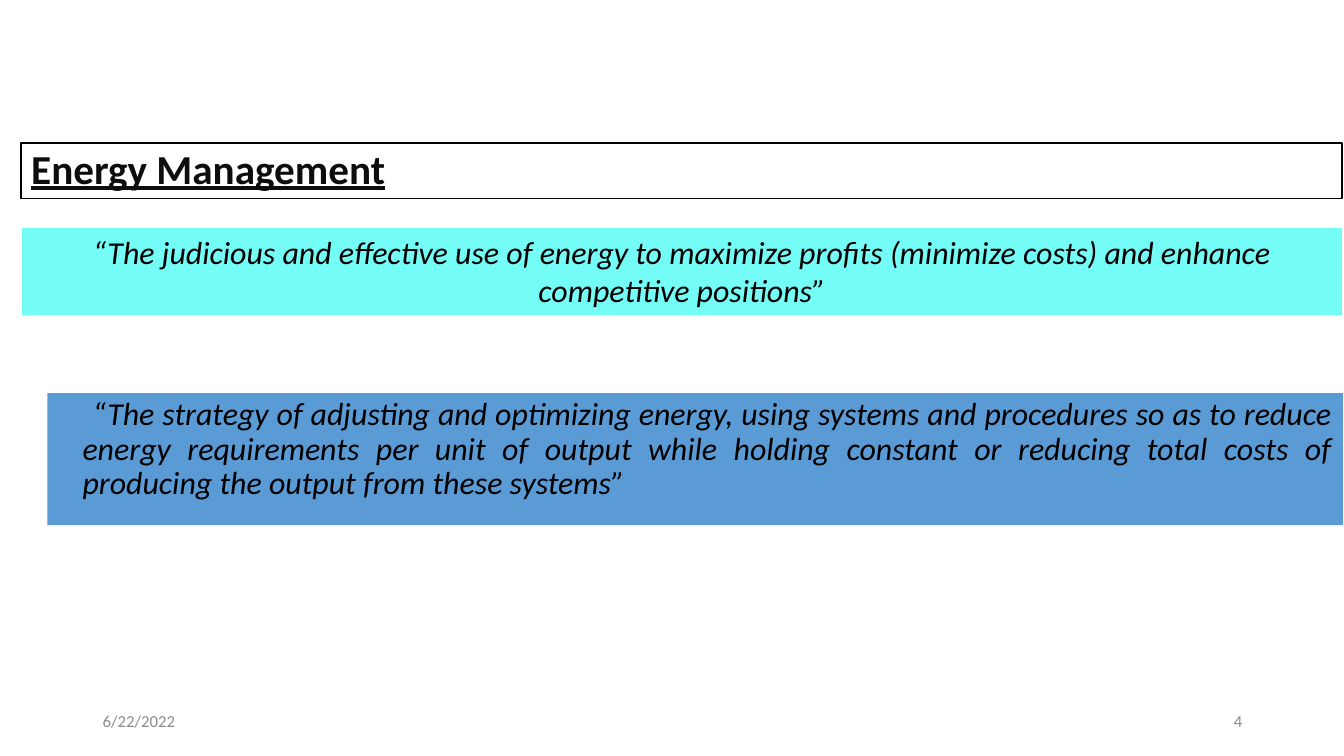
"""Build the Energy Management definitions slide."""
from pptx import Presentation
from pptx.dml.color import RGBColor
from pptx.enum.shapes import MSO_SHAPE
from pptx.enum.text import MSO_ANCHOR, PP_ALIGN
from pptx.util import Inches, Pt


def color(value):
    return RGBColor.from_string(value)


def write(sp, text, size, font_color, align, anchor):
    tf = sp.text_frame
    tf.word_wrap = True
    tf.vertical_anchor = anchor
    tf.text = text
    p = tf.paragraphs[0]
    p.alignment = align
    r = p.runs[0]
    r.font.name = "Calibri"
    r.font.size = Pt(size)
    r.font.color.rgb = color(font_color)
    return p, r


prs = Presentation()
prs.slide_width, prs.slide_height = Inches(13.33), Inches(7.5)
s = prs.slides.add_slide(prs.slide_layouts[5])

title = s.shapes.title
title.left, title.top = Inches(0.21), Inches(1.42)
title.width, title.height = Inches(13.1), Inches(0.55)
title.fill.solid()
title.fill.fore_color.rgb = color("FFFFFF")
title.line.color.rgb = color("000000")
title.line.width = Pt(1)
p, r = write(title, "Energy Management", 29.4, "0D0D0D", PP_ALIGN.LEFT, MSO_ANCHOR.MIDDLE)
p.line_spacing = 0.9
r.font.bold = r.font.underline = True

definitions = [
    (0.22, 2.26, 13.09, 0.87, "74FCF6", PP_ALIGN.CENTER,
     "“The judicious and effective use of energy to maximize profits (minimize costs) "
     "and enhance competitive positions”"),
    (0.47, 3.9, 12.85, 1.31, "5B9BD5", PP_ALIGN.JUSTIFY,
     "“The strategy of adjusting and optimizing energy, using systems and procedures so as "
     "to reduce energy requirements per unit of output while holding constant or reducing "
     "total costs of producing the output from these systems”"),
]
for x, y, w, h, fill, align, text in definitions:
    sp = s.shapes.add_shape(MSO_SHAPE.RECTANGLE, Inches(x), Inches(y), Inches(w), Inches(h))
    sp.shadow.inherit = False
    sp.fill.solid()
    sp.fill.fore_color.rgb = color(fill)
    sp.line.fill.background()
    p, r = write(sp, text, 22.8, "000000", align, MSO_ANCHOR.TOP)
    r.font.italic = True
    if align == PP_ALIGN.JUSTIFY:
        p.line_spacing = 0.9
        pPr = p._p.get_or_add_pPr()
        pPr.set("marL", str(Inches(0.25)))
        pPr.set("indent", str(Inches(0.1)))

footers = [(0.92, "6/22/2022", PP_ALIGN.LEFT), (9.42, "4", PP_ALIGN.RIGHT)]
for x, text, align in footers:
    sp = s.shapes.add_textbox(Inches(x), Inches(6.95), Inches(3), Inches(0.4))
    write(sp, text, 12, "8C8C8C", align, MSO_ANCHOR.MIDDLE)

prs.save("out.pptx")
